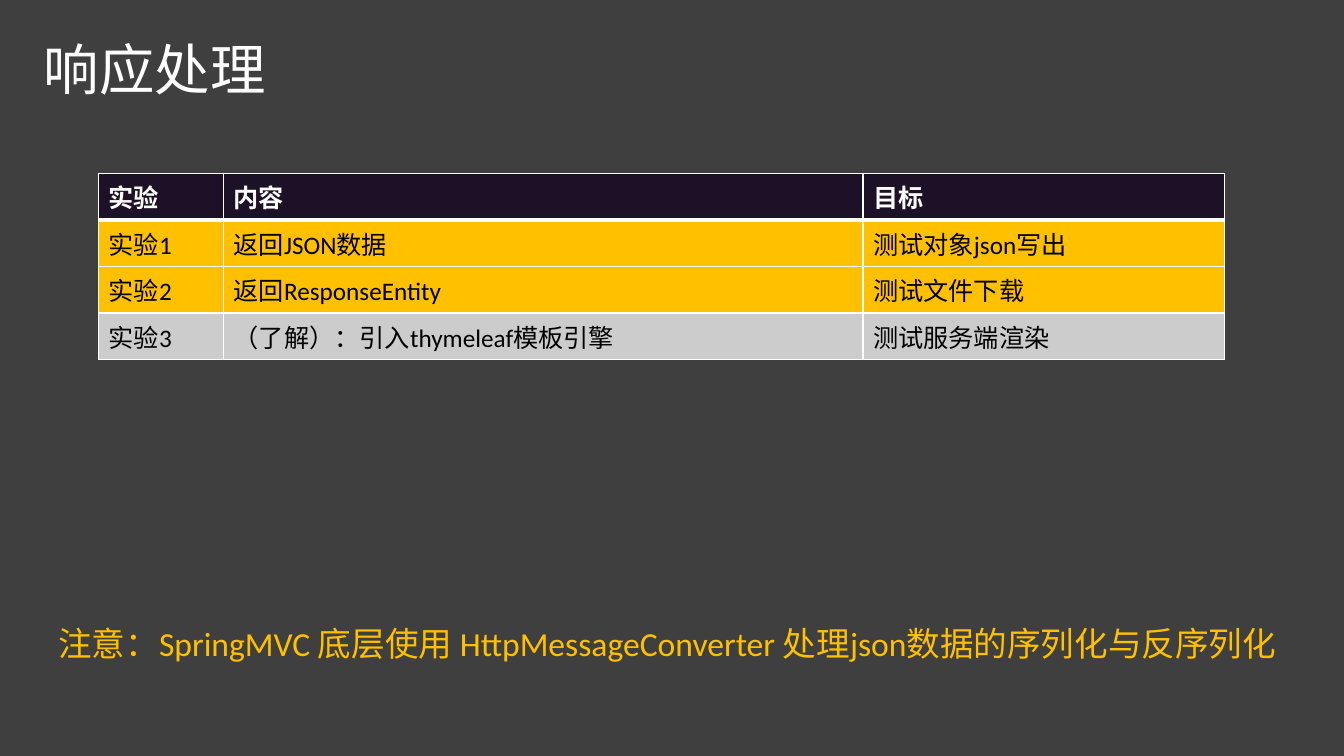
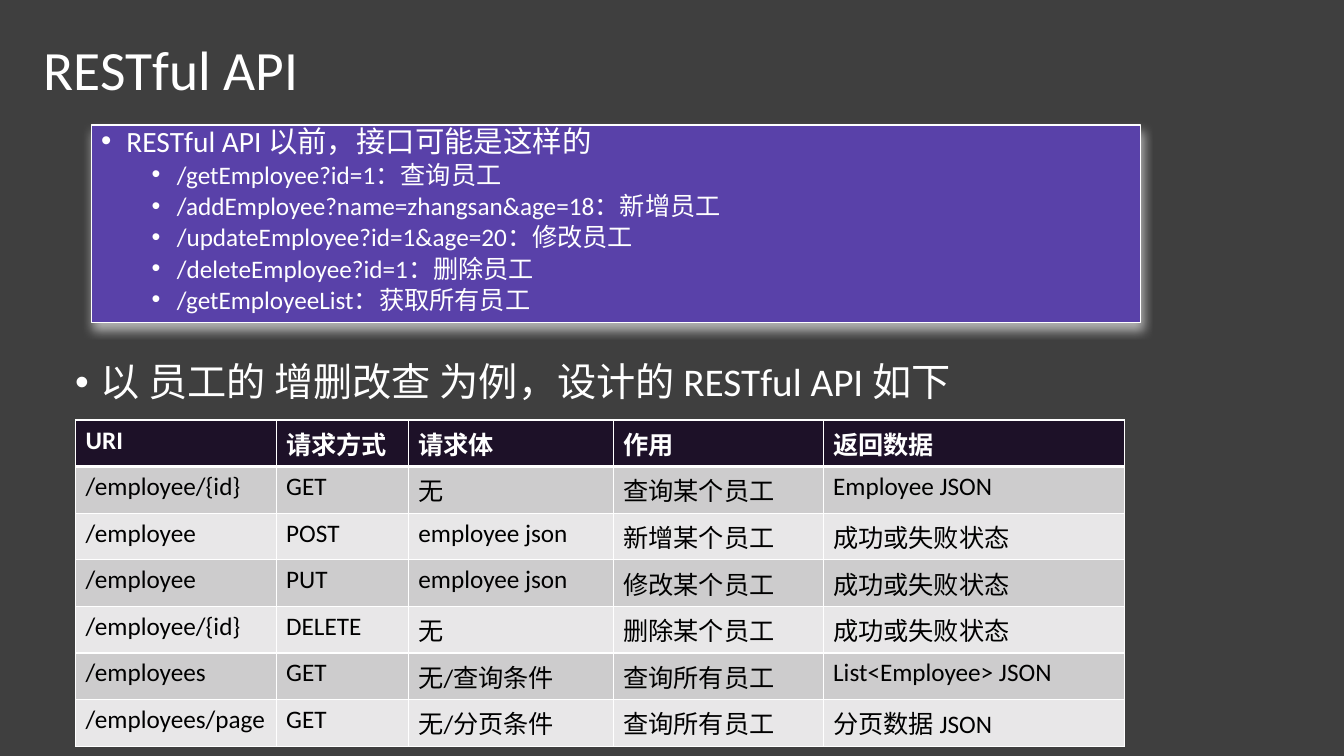
import lxml.etree
import pptx
import pptx.dml.color
import pptx.enum.shapes
import pptx.enum.text
import pptx.oxml.ns
import pptx.util

PX = 9525  # EMU in one px, for a slide of 1280 x 720 px
WHITE, BLACK, AMBER = "FFFFFF", "000000", "FFC000"
BACKGROUND, HEADER, PURPLE = "3F3F3F", "1D1128", "5941A9"
GREY, LIGHT_GREY = "CDCCCD", "E8E7E8"

LEFT = pptx.enum.text.PP_ALIGN.LEFT
TOP = pptx.enum.text.MSO_ANCHOR.TOP
MIDDLE = pptx.enum.text.MSO_ANCHOR.MIDDLE
FRAME = {"word_wrap": True, "auto_size": pptx.enum.text.MSO_AUTO_SIZE.NONE}
# Bullet levels: left indent in px, paragraph spacing
BULLET_INDENTS = (24, 72)
SPACE_BEFORE = (10, 5)


def color(value):
    return pptx.dml.color.RGBColor.from_string(value)


def apply(target, values):
    for name, value in values.items():
        setattr(target, name, value)


def place(sp, box):
    apply(sp, dict(zip(("left", "top", "width", "height"), (n * PX for n in box))))


def fill(target, value):
    target.fill.solid()
    target.fill.fore_color.rgb = color(value)


def child(parent, tag, **attributes):
    values = {name: str(value) for name, value in attributes.items()}
    return lxml.etree.SubElement(parent, pptx.oxml.ns.qn(tag), values)


def write(p, text, size, text_color, bold=False, **paragraph):
    apply(p, {"alignment": LEFT, **paragraph})
    r = p.add_run()
    r.text = text
    apply(r.font, {"size": pptx.util.Pt(size), "name": "Calibri", "bold": bold})
    r.font.color.rgb = color(text_color)


def bullet(p, text, size, level, line_spacing):
    write(p, text, size, WHITE, level=level, line_spacing=line_spacing,
          space_before=pptx.util.Pt(SPACE_BEFORE[level]), space_after=pptx.util.Pt(0))
    pPr = p._p.get_or_add_pPr()
    pPr.set("marL", str(BULLET_INDENTS[level] * PX))
    pPr.set("indent", str(-24 * PX))
    child(pPr, "a:buFont", typeface="Arial")
    child(pPr, "a:buChar", char="•")


def add_slide(prs, layout, title):
    """Slide with the shared title style."""
    s = prs.slides.add_slide(prs.slide_layouts[layout])
    sp = s.shapes.title
    place(sp, (32, 34, 768, 70))
    tf = sp.text_frame
    apply(tf, {**FRAME, "vertical_anchor": MIDDLE})
    write(tf.paragraphs[0], title, 39.6, WHITE, line_spacing=0.9)
    return s


def border(cell, top, bottom):
    tcPr = cell._tc.get_or_add_tcPr()
    for side, width in (("L", 1), ("R", 1), ("T", top), ("B", bottom)):
        ln = child(tcPr, "a:ln" + side, w=pptx.util.Pt(width))
        child(child(ln, "a:solidFill"), "a:srgbClr", val=WHITE)


def add_table(s, left, top, widths, row_height, rows, fills):
    """Table with a dark header; fills gives the colour of each body row."""
    box = (left, top, sum(widths), row_height * len(rows))
    table = s.shapes.add_table(len(rows), len(widths), *(n * PX for n in box)).table
    for column, width in zip(table.columns, widths):
        column.width = width * PX
    for i, (row, row_fill) in enumerate(zip(rows, [HEADER, *fills])):
        header = i == 0
        for j, text in enumerate(row):
            cell = table.cell(i, j)
            border(cell, top=3 if i == 1 else 1, bottom=3 if header else 1)
            fill(cell, row_fill)
            write(cell.text_frame.paragraphs[0], text, 18,
                  WHITE if header else BLACK, bold=header)


def add_note(s, box, text):
    sp = s.shapes.add_textbox(*(n * PX for n in box))
    apply(sp.text_frame, FRAME)
    write(sp.text_frame.paragraphs[0], text, 24, AMBER)


def add_panel(s, box, heading, items):
    """Purple panel with a heading bullet and its sub-bullets."""
    sp = s.shapes.add_shape(pptx.enum.shapes.MSO_SHAPE.RECTANGLE, *(n * PX for n in box))
    fill(sp, PURPLE)
    sp.line.color.rgb = color(WHITE)
    sp.line.width = pptx.util.Pt(1)
    # Light glow below the panel
    effects = child(sp._element.spPr, "a:effectLst")
    shadow = child(effects, "a:outerShdw", blurRad=pptx.util.Pt(8),
                   dist=pptx.util.Pt(4), dir=90 * 60000, rotWithShape=0)
    child(child(shadow, "a:srgbClr", val=WHITE), "a:alpha", val=60000)
    tf = sp.text_frame
    apply(tf, {**FRAME, "vertical_anchor": TOP})
    bullet(tf.paragraphs[0], heading, 21, 0, 0.8)
    for item in items:
        bullet(tf.add_paragraph(), item, 18, 1, 0.8)


def response_slide(prs):
    s = add_slide(prs, 5, "响应处理")
    rows = [
        ("实验", "内容", "目标"),
        ("实验1", "返回JSON数据", "测试对象json写出"),
        ("实验2", "返回ResponseEntity", "测试文件下载"),
        ("实验3", "（了解）：引入thymeleaf模板引擎", "测试服务端渲染"),
    ]
    add_table(s, 94, 165, (119, 609, 344), 40, rows, (AMBER, AMBER, GREY))
    add_note(s, (46, 589, 1188, 48),
             "注意：SpringMVC 底层使用 HttpMessageConverter 处理json数据的序列化与反序列化")


def restful_slide(prs):
    s = add_slide(prs, 1, "RESTful API")
    # Lead-in above the table
    body = s.placeholders[1]
    place(body, (62, 341, 1104, 60))
    apply(body.text_frame, {**FRAME, "vertical_anchor": TOP})
    bullet(body.text_frame.paragraphs[0],
           "以 员工的 增删改查 为例，设计的 RESTful API 如下", 28, 0, 0.9)
    rows = [
        ("URI", "请求方式", "请求体", "作用", "返回数据"),
        ("/employee/{id}", "GET", "无", "查询某个员工", "Employee JSON"),
        ("/employee", "POST", "employee json", "新增某个员工", "成功或失败状态"),
        ("/employee", "PUT", "employee json", "修改某个员工", "成功或失败状态"),
        ("/employee/{id}", "DELETE", "无", "删除某个员工", "成功或失败状态"),
        ("/employees", "GET", "无/查询条件", "查询所有员工", "List<Employee> JSON"),
        ("/employees/page", "GET", "无/分页条件", "查询所有员工", "分页数据 JSON"),
    ]
    add_table(s, 72, 400, (191, 126, 195, 200, 287), 38, rows, (GREY, LIGHT_GREY) * 3)
    add_panel(s, (87, 119, 999, 188), "RESTful API 以前，接口可能是这样的", (
        "/getEmployee?id=1：查询员工",
        "/addEmployee?name=zhangsan&age=18：新增员工",
        "/updateEmployee?id=1&age=20：修改员工",
        "/deleteEmployee?id=1：删除员工",
        "/getEmployeeList：获取所有员工",
    ))


def main():
    prs = pptx.Presentation()
    apply(prs, {"slide_width": 1280 * PX, "slide_height": 720 * PX})
    fill(prs.slide_master.background, BACKGROUND)
    response_slide(prs)
    restful_slide(prs)
    prs.save("out.pptx")


if __name__ == "__main__":
    main()
